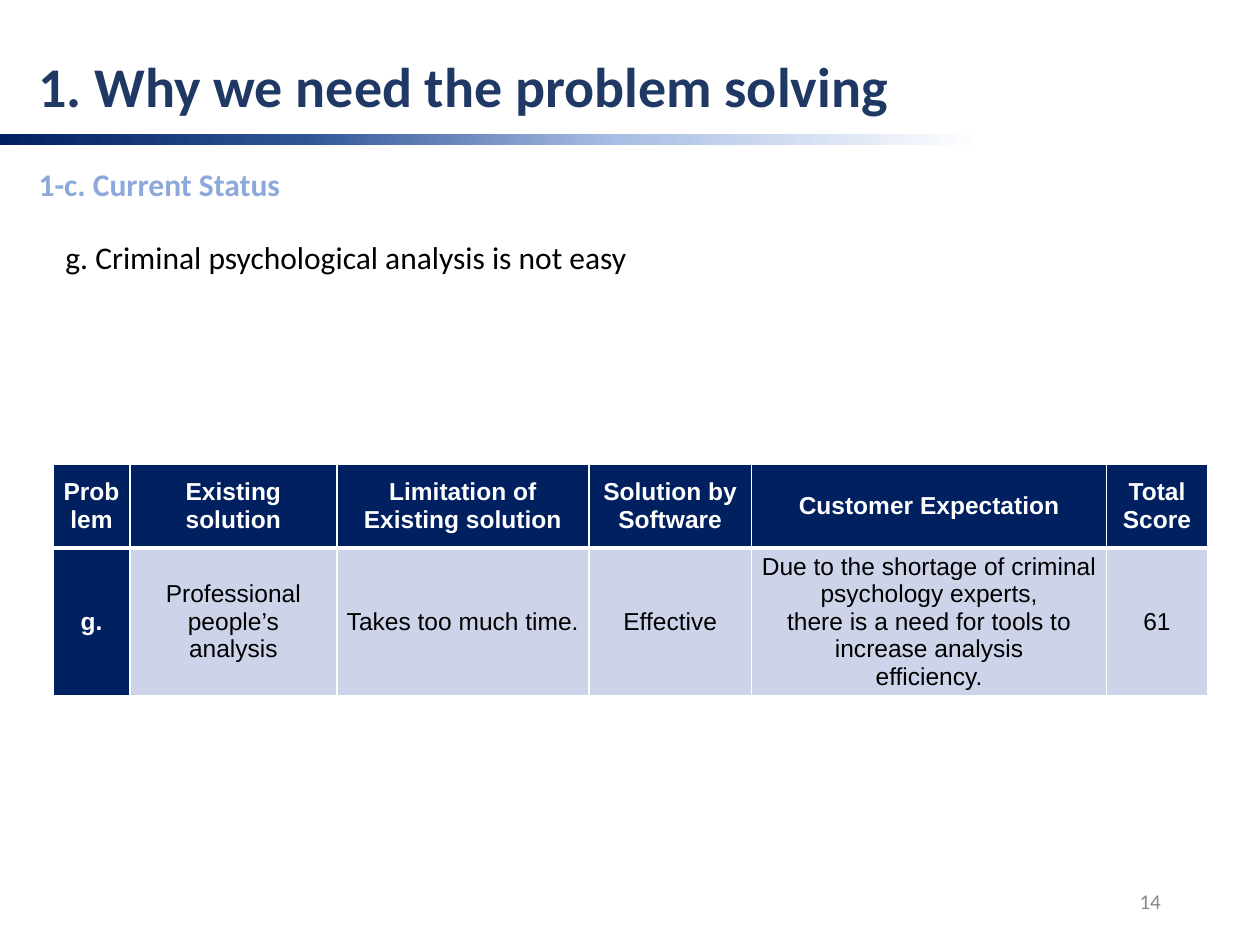
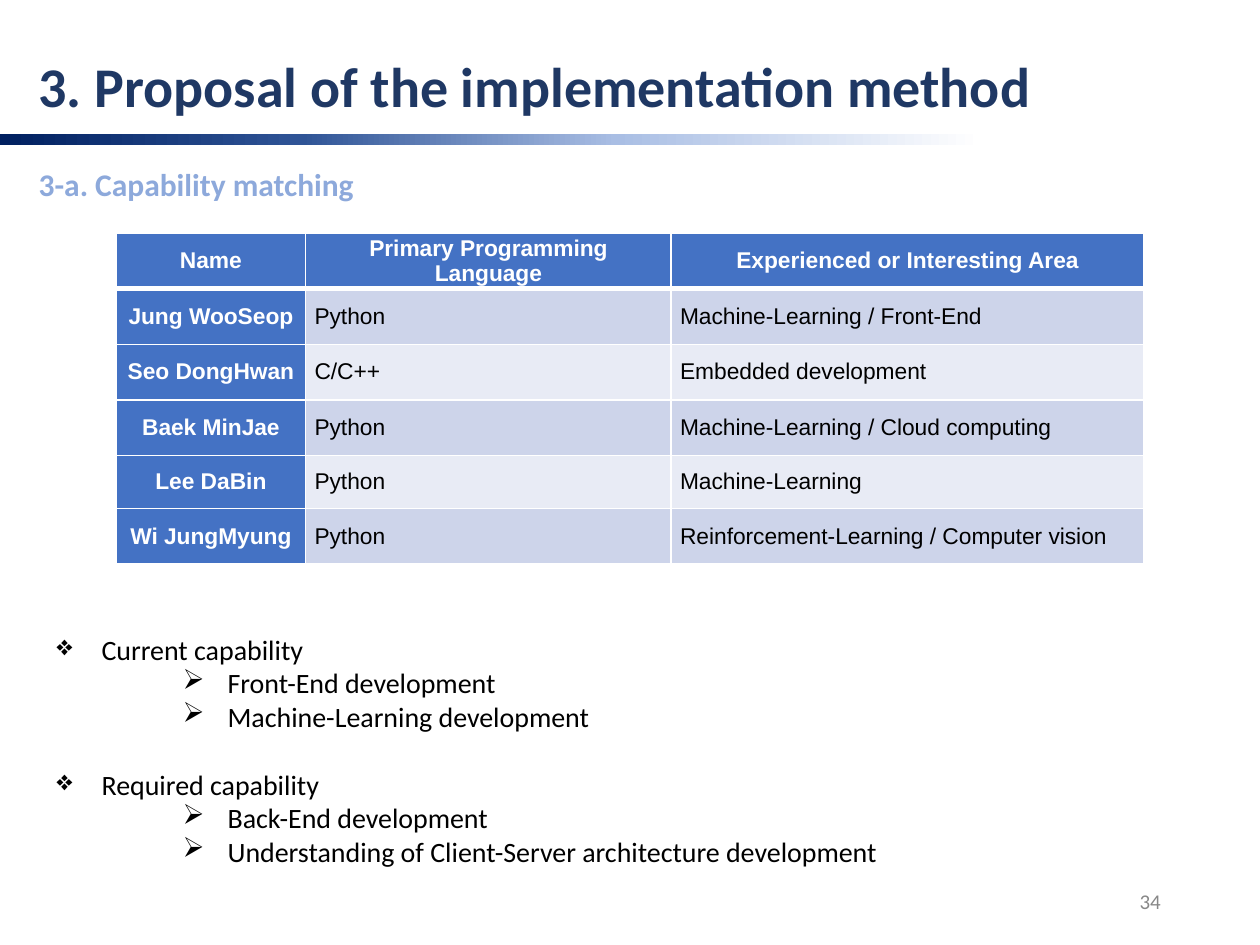
import pptx
import pptx.util
import pptx.oxml
import pptx.oxml.ns
import pptx.dml.color
import pptx.enum.shapes
import pptx.enum.text
import lxml.etree

Cm = pptx.util.Cm
Pt = pptx.util.Pt
qn = pptx.oxml.ns.qn
sub = lxml.etree.SubElement
side = pptx.enum.text.PP_ALIGN
mid = pptx.enum.text.MSO_ANCHOR.MIDDLE

hues = {
    "white": "FFFFFF", "black": "000000", "title": "1F3864", "head": "8DA9DB",
    "grey": "888888", "navy": "002060", "blue": "4472C4", "deep": "2F5496",
    "pale": "A9BEE4", "odd": "CDD4EA", "even": "E8EBF5",
}
stops = [(0, "white"), (22, "white"), (51, "pale"), (76, "deep"), (100, "navy")]


def write(frame, text, size=18, hue="black", bold=False, align=side.LEFT, font="Calibri"):
    frame.word_wrap = True
    for num, line in enumerate(text.split("\n")):
        para = frame.add_paragraph() if num else frame.paragraphs[0]
        para.text = line
        para.alignment = align
        for run in para.runs:
            run.font.name = font
            run.font.size = Pt(size)
            run.font.bold = bold
            run.font.color.rgb = pptx.dml.color.RGBColor.from_string(hues[hue])


def box(slide, left, top, width, height):
    return slide.shapes.add_textbox(Cm(left), Cm(top), Cm(width), Cm(height)).text_frame


pages = [
    {
        "title": "1. Why we need the problem solving",
        "head": "1-c. Current Status",
        "num": "14",
        "place": (1.07, 9.35),
        "cols": [1.55, 4.17, 5.08, 3.28, 7.16, 2.03],
        "rows": [1.7, 2.97],
        "fill": "navy", "size": 14, "align": side.CENTER,
        "cells": [
            ["Problem", "Existing solution", "Limitation of Existing solution",
             "Solution by Software", "Customer Expectation", "Total Score"],
            ["g.", "Professional people’s\nanalysis", "Takes too much time.", "Effective",
             "Due to the shortage of criminal psychology experts,\v"
             "there is a need for tools to increase analysis\nefficiency.", "61"],
        ],
    },
    {
        "title": "3. Proposal of the implementation method",
        "head": "3-a. Capability matching",
        "num": "34",
        "place": (2.34, 4.7),
        "cols": [3.82, 7.37, 9.52],
        "rows": [1.12, 1.12, 1.12, 1.12, 1.07, 1.12],
        "fill": "blue", "size": 13, "align": side.JUSTIFY,
        "cells": [
            ["Name", "Primary Programming Language", "Experienced or Interesting Area"],
            ["Jung WooSeop", "Python", "Machine-Learning / Front-End"],
            ["Seo DongHwan", "C/C++", "Embedded development"],
            ["Baek MinJae", "Python", "Machine-Learning / Cloud computing"],
            ["Lee DaBin", "Python", "Machine-Learning"],
            ["Wi JungMyung", "Python", "Reinforcement-Learning / Computer vision"],
        ],
    },
]

deck = pptx.Presentation()
deck.slide_width = Cm(25.4)
deck.slide_height = Cm(19.05)

for page in pages:
    slide = deck.slides.add_slide(deck.slide_layouts[6])

    band = slide.shapes.add_shape(
        pptx.enum.shapes.MSO_SHAPE.RECTANGLE, Cm(-0.02), Cm(2.7), Cm(25.4), Cm(0.23))
    band.shadow.inherit = False
    band.line.fill.background()
    band.fill.gradient()
    band.fill.gradient_angle = 180
    grad = band._element.spPr.find(qn("a:gradFill"))
    ramp = grad.find(qn("a:gsLst"))
    for old in list(ramp):
        ramp.remove(old)
    for spot, hue in stops:
        stop = sub(ramp, qn("a:gs"), pos=str(spot * 1000))
        sub(stop, qn("a:srgbClr"), val=hues[hue])

    write(box(slide, 0.53, 0.91, 21.67, 1.63), page["title"], size=32, hue="title", bold=True)
    write(box(slide, 0.53, 3.2, 15.54, 1.02), page["head"], hue="head", bold=True)
    foot = box(slide, 17.93, 17.66, 5.72, 1.01)
    foot.vertical_anchor = mid
    write(foot, page["num"], size=12, hue="grey", align=side.RIGHT)

    left, top = page["place"]
    cols, rows = page["cols"], page["rows"]
    grid = slide.shapes.add_table(
        len(rows), len(cols), Cm(left), Cm(top), Cm(sum(cols)), Cm(sum(rows))).table
    grid.horz_banding = False
    for col, width in zip(grid.columns, cols):
        col.width = Cm(width)
    for row, height in zip(grid.rows, rows):
        row.height = Cm(height)

    for r, line in enumerate(page["cells"]):
        for c, text in enumerate(line):
            cell = grid.cell(r, c)
            key = r == 0 or c == 0
            cell.vertical_anchor = mid
            cell.margin_left = cell.margin_right = Cm(0.18)
            cell.margin_top = cell.margin_bottom = 0
            write(cell.text_frame, text, size=page["size"], font="Arial", bold=key,
                  hue="white" if key else "black",
                  align=side.CENTER if key else page["align"])
            props = cell._tc.get_or_add_tcPr()
            for edge in "LRTB":
                thick = (r == 0 and edge == "B") or (r == 1 and edge == "T")
                rule = sub(props, qn("a:ln" + edge), w=str(Pt(3 if thick else 1)))
                sub(sub(rule, qn("a:solidFill")), qn("a:srgbClr"), val=hues["white"])
            tint = page["fill"] if key else "odd" if r % 2 else "even"
            cell.fill.solid()
            cell.fill.fore_color.rgb = pptx.dml.color.RGBColor.from_string(hues[tint])

first, last = deck.slides
write(box(first, 1.07, 4.67, 20.55, 1.02),
      "g. Criminal psychological analysis is not easy", align=side.JUSTIFY)

needs = [
    (0, "Current capability"),
    (1, "Front-End development"),
    (1, "Machine-Learning development"),
    (0, "Required capability"),
    (1, "Back-End development"),
    (1, "Understanding of Client-Server architecture development"),
]
body = box(last, 0.53, 12.62, 24.3, 5.74)
write(body, "\n".join(text for level, text in needs), size=16)
for num, (para, (level, text)) in enumerate(zip(body.paragraphs, needs)):
    para.level = level
    props = para._p.get_or_add_pPr()
    props.set("marL", str(Cm(1.27 + 2.54 * level)))
    props.set("indent", str(Cm(-0.91)))
    sub(sub(props, qn("a:buClr")), qn("a:srgbClr"), val=hues["black"])
    sub(props, qn("a:buChar"), char="❖➢"[level])
    if num and level == 0:
        para.space_before = Pt(19.5)

deck.save("out.pptx")
